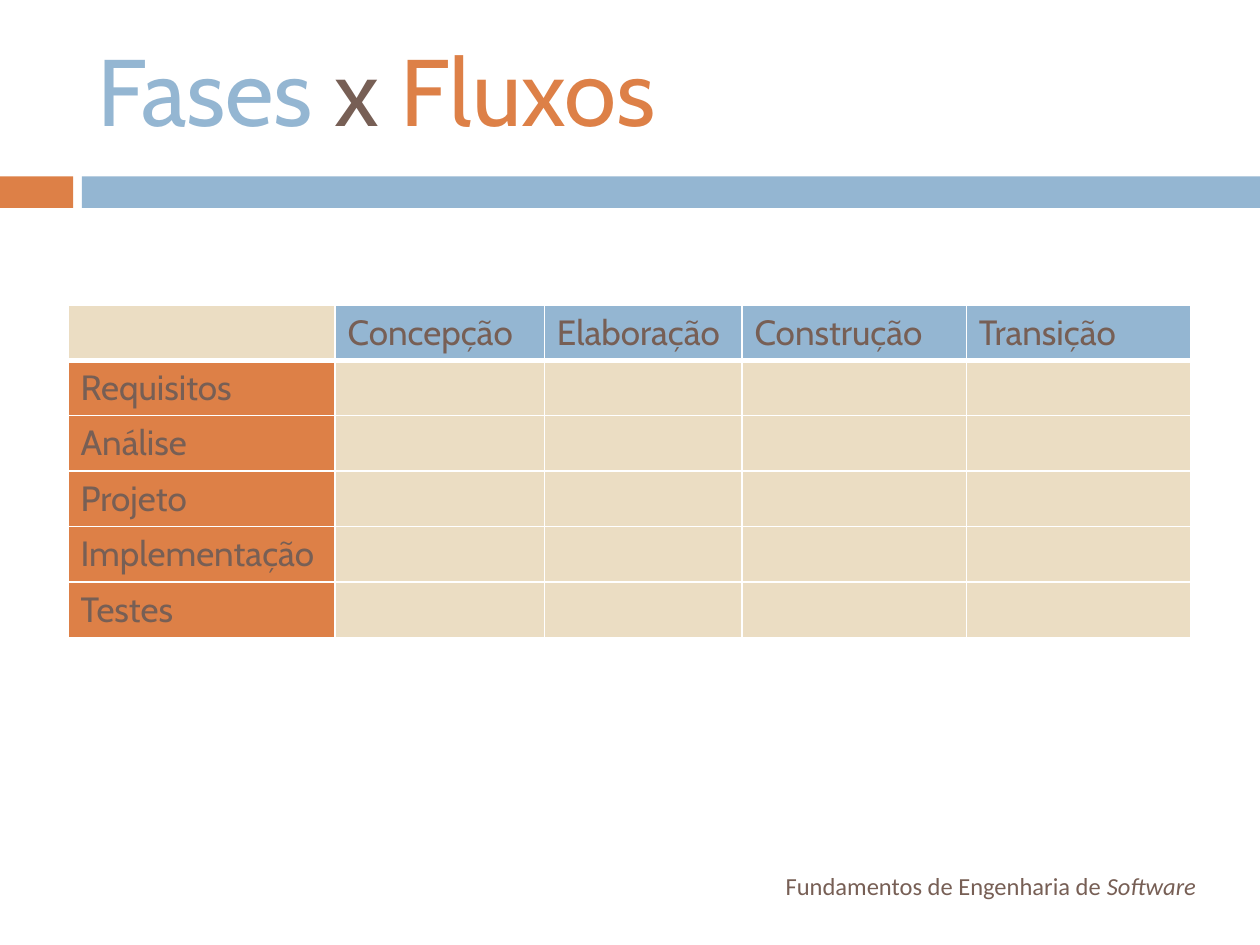
"""Build the slide that crosses process phases with workflows in a table."""
from pptx import Presentation
from pptx.dml.color import RGBColor
from pptx.enum.shapes import MSO_SHAPE as Shape
from pptx.enum.text import MSO_ANCHOR as Anchor, PP_ALIGN as Align
from pptx.oxml import parse_xml
from pptx.oxml.ns import nsdecls
from pptx.util import Inches, Pt

BLUE, ORANGE, BROWN, SAND, WHITE = "94B6D2", "DD8047", "775F55", "EBDDC3", "FFFFFF"


def color(value):
    return RGBColor.from_string(value)


def add_span(para, text, font, size, value, italic=None):
    span = para.add_run()
    span.text = text
    span.font.name = font
    span.font.size = Pt(size)
    span.font.italic = italic
    span.font.color.rgb = color(value)


deck = Presentation()
deck.slide_width, deck.slide_height = Inches(10), Inches(7.5)
page = deck.slides.add_slide(deck.slide_layouts[5])

for left, width, fill in [(0, 0.58, ORANGE), (0.65, 9.35, BLUE)]:
    bar = page.shapes.add_shape(
        Shape.RECTANGLE, Inches(left), Inches(1.4), Inches(width), Inches(0.25))
    bar.shadow.inherit = False
    bar.fill.solid()
    bar.fill.fore_color.rgb = color(fill)
    bar.line.fill.background()

title = page.shapes.title
title.left, title.top = Inches(0.67), Inches(0.04)
title.width, title.height = Inches(8.92), Inches(1.33)
title.text_frame.vertical_anchor = Anchor.MIDDLE
title_para = title.text_frame.paragraphs[0]
title_para.alignment = Align.LEFT
for text, value in [("Fases", BLUE), (" x ", BROWN), ("Fluxos", ORANGE)]:
    add_span(title_para, text, "Cabin", 54, value)

footer = page.shapes.add_textbox(Inches(0.67), Inches(6.83), Inches(8.92), Inches(0.4))
footer.text_frame.word_wrap = True
footer.text_frame.vertical_anchor = Anchor.MIDDLE
footer_para = footer.text_frame.paragraphs[0]
footer_para.alignment = Align.RIGHT
add_span(footer_para, "Fundamentos de Engenharia de ", "Calibri", 14, BROWN)
add_span(footer_para, "Software", "Calibri", 14, BROWN, italic=True)

phases = ["Concepção", "Elaboração", "Construção", "Transição"]
workflows = ["Requisitos", "Análise", "Projeto", "Implementação", "Testes"]
column_widths = [2.12, 1.66, 1.57, 1.78, 1.78]
row_height = 0.44
row_count = len(workflows) + 1
table = page.shapes.add_table(
    row_count, len(column_widths), Inches(0.54), Inches(2.42),
    Inches(sum(column_widths)), Inches(row_height * row_count)).table
for column, width in zip(table.columns, column_widths):
    column.width = Inches(width)

for row_index, row in enumerate(table.rows):
    row.height = Inches(row_height)
    for column_index, cell in enumerate(row.cells):
        text, fill = "", SAND
        if row_index == 0 and column_index > 0:
            text, fill = phases[column_index - 1], BLUE
        elif row_index > 0 and column_index == 0:
            text, fill = workflows[row_index - 1], ORANGE
        if text:
            add_span(cell.text_frame.paragraphs[0], text, "Cabin", 20, BROWN)
        cell.fill.solid()
        cell.fill.fore_color.rgb = color(fill)
        properties = cell._tc.get_or_add_tcPr()
        for position, side in enumerate("LRTB"):
            heavy = (row_index, side) in [(0, "B"), (1, "T")]
            properties.insert(position, parse_xml(
                f'<a:ln{side} {nsdecls("a")} w="{Pt(3 if heavy else 1)}">'
                f'<a:solidFill><a:srgbClr val="{WHITE}"/></a:solidFill></a:ln{side}>'))

deck.save("out.pptx")
